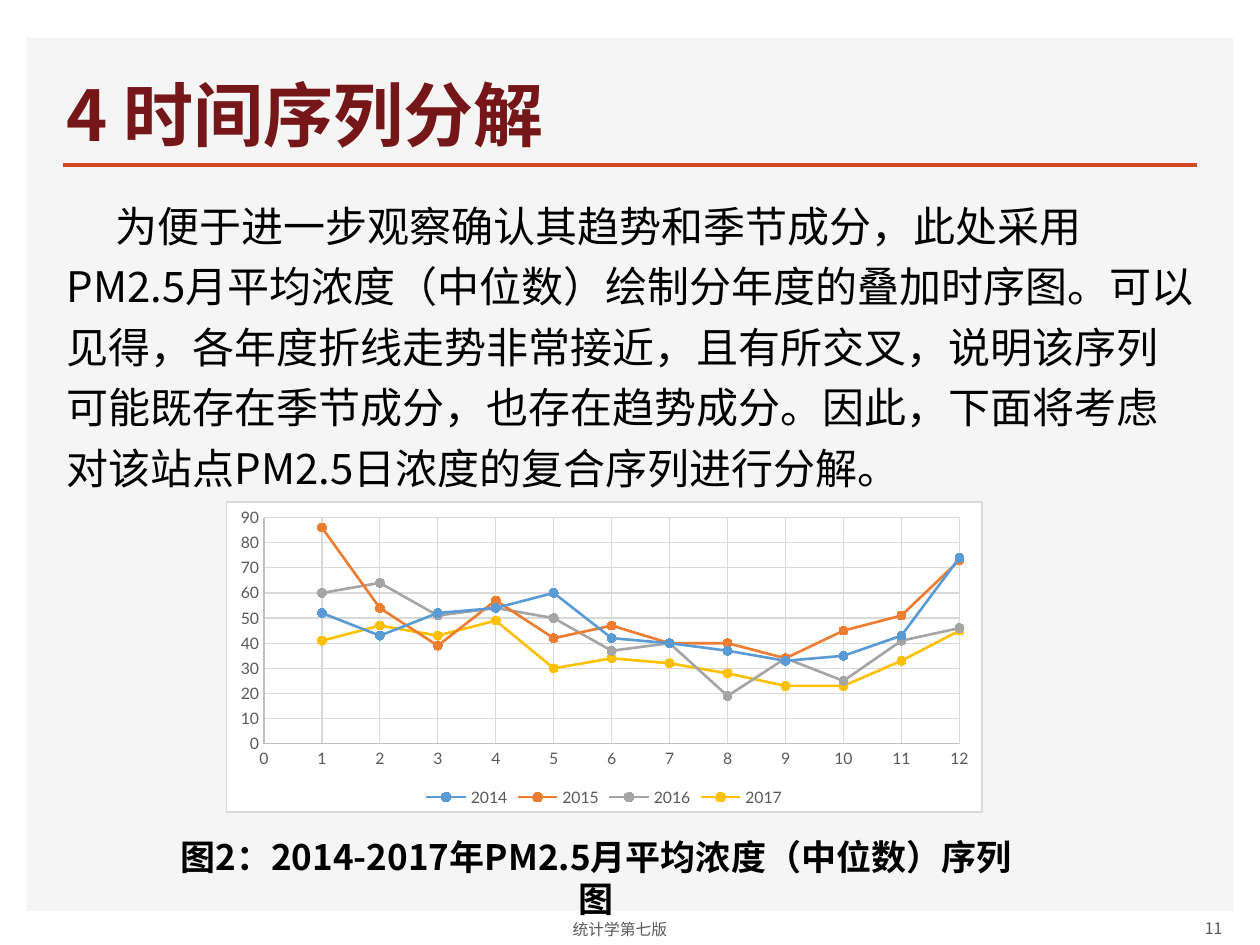
from lxml import etree
from pptx import Presentation
from pptx.chart.data import XyChartData
from pptx.dml.color import RGBColor
from pptx.enum.chart import XL_CHART_TYPE, XL_LEGEND_POSITION, XL_MARKER_STYLE, XL_TICK_MARK
from pptx.enum.shapes import MSO_CONNECTOR, MSO_SHAPE
from pptx.enum.text import MSO_ANCHOR, PP_ALIGN
from pptx.oxml import parse_xml
from pptx.oxml.ns import nsdecls, qn
from pptx.util import Inches, Pt

SCATTER = XL_CHART_TYPE.XY_SCATTER_LINES
LEGEND_BOTTOM = XL_LEGEND_POSITION.BOTTOM
CIRCLE = XL_MARKER_STYLE.CIRCLE
NO_TICK = XL_TICK_MARK.NONE
STRAIGHT = MSO_CONNECTOR.STRAIGHT
RECTANGLE = MSO_SHAPE.RECTANGLE
TOP, MIDDLE, BOTTOM = MSO_ANCHOR.TOP, MSO_ANCHOR.MIDDLE, MSO_ANCHOR.BOTTOM
LEFT, CENTER, RIGHT = PP_ALIGN.LEFT, PP_ALIGN.CENTER, PP_ALIGN.RIGHT

WHITE = RGBColor(0xFF, 0xFF, 0xFF)
BLACK = RGBColor(0x00, 0x00, 0x00)
PANEL = RGBColor(0xF5, 0xF5, 0xF5)
RULE = RGBColor(0xD2, 0x47, 0x26)
MAROON = RGBColor(0x75, 0x17, 0x18)
GREY = RGBColor(0x59, 0x59, 0x59)
AXIS = RGBColor(0xBF, 0xBF, 0xBF)
GRID = RGBColor(0xD9, 0xD9, 0xD9)

TEXT_FONT = "Noto Sans CJK SC"
CHART_FONT = "Lato"

BODY = (
    "为便于进一步观察确认其趋势和季节成分，此处采用PM2.5月平均浓度（中位数）"
    "绘制分年度的叠加时序图。可以见得，各年度折线走势非常接近，且有所交叉，"
    "说明该序列可能既存在季节成分，也存在趋势成分。因此，下面将考虑对该站点"
    "PM2.5日浓度的复合序列进行分解。"
)

# Monthly PM2.5 medians, January to December
YEARS = [
    ("2014", RGBColor(0x5B, 0x9B, 0xD5), [52, 43, 52, 54, 60, 42, 40, 37, 33, 35, 43, 74]),
    ("2015", RGBColor(0xED, 0x7D, 0x31), [86, 54, 39, 57, 42, 47, 40, 40, 34, 45, 51, 73]),
    ("2016", RGBColor(0xA5, 0xA5, 0xA5), [60, 64, 51, 54, 50, 37, 40, 19, 34, 25, 41, 46]),
    ("2017", RGBColor(0xFF, 0xC0, 0x00), [41, 47, 43, 49, 30, 34, 32, 28, 23, 23, 33, 45]),
]


def add_text(slide, box, text, size, color, align=LEFT, anchor=TOP, bold=False):
    """Place one paragraph in the box and return the paragraph."""
    shape = slide.shapes.add_textbox(*map(Inches, box))
    frame = shape.text_frame
    frame.word_wrap = True
    frame.vertical_anchor = anchor
    paragraph = frame.paragraphs[0]
    paragraph.alignment = align
    run = paragraph.add_run()
    run.text = text
    font = run.font
    font.name, font.size, font.bold = TEXT_FONT, Pt(size), bold
    font.color.rgb = color
    east_asian = etree.SubElement(run._r.get_or_add_rPr(), qn("a:ea"))
    east_asian.set("typeface", TEXT_FONT)
    return paragraph


def add_background(slide, box):
    """Grey panel behind the content."""
    panel = slide.shapes.add_shape(RECTANGLE, *map(Inches, box))
    panel.shadow.inherit = False
    panel.fill.solid()
    panel.fill.fore_color.rgb = PANEL
    panel.line.fill.background()


def add_heading(slide, box):
    """Title with the rule under it."""
    left, top, width, height = box
    rule_y = Inches(top + height + 0.03)
    rule = slide.shapes.add_connector(STRAIGHT, Inches(0.5), rule_y, Inches(9.5), rule_y)
    rule.line.color.rgb = RULE
    rule.line.width = Pt(2)
    etree.SubElement(rule._element.spPr, qn("a:effectLst"))
    add_text(slide, box, "4 时间序列分解", 40, MAROON, anchor=BOTTOM, bold=True)


def add_body(slide, box):
    """Explanation with an indented first line."""
    paragraph = add_text(slide, box, BODY, 24, BLACK)
    paragraph.line_spacing = 1.2
    paragraph._p.get_or_add_pPr().set("indent", str(Inches(0.39)))


def style_font(font):
    font.name, font.size = CHART_FONT, Pt(9)
    font.color.rgb = GREY


def style_line(line, color, width=0.75):
    line.color.rgb = color
    line.width = Pt(width)


def style_axis(axis, maximum, step):
    axis.minimum_scale, axis.maximum_scale, axis.major_unit = 0, maximum, step
    axis.major_tick_mark = axis.minor_tick_mark = NO_TICK
    axis.has_major_gridlines = True
    style_line(axis.major_gridlines.format.line, GRID)
    style_line(axis.format.line, AXIS)
    style_font(axis.tick_labels.font)
    axis.tick_labels.number_format = "0"
    axis.tick_labels.number_format_is_linked = False


def add_year_chart(slide, box):
    """One line per year over the twelve months."""
    data = XyChartData()
    for name, _, values in YEARS:
        series = data.add_series(name)
        for month, value in enumerate(values, start=1):
            series.add_data_point(month, value)
    chart = slide.shapes.add_chart(SCATTER, *map(Inches, box), data).chart
    chart.has_title = False
    style_font(chart.font)
    style_axis(chart.category_axis, 12, 1)
    style_axis(chart.value_axis, 90, 10)

    chart.has_legend = True
    chart.legend.position = LEGEND_BOTTOM
    chart.legend.include_in_layout = False
    style_font(chart.legend.font)

    plot = chart.plots[0]
    plot.vary_by_categories = False
    for series, (_, color, _) in zip(plot.series, YEARS):
        series.smooth = False
        style_line(series.format.line, color, 1.5)
        marker = series.marker
        marker.style, marker.size = CIRCLE, 5
        marker.format.fill.solid()
        marker.format.fill.fore_color.rgb = color
        style_line(marker.format.line, color)

    # Inner plot area as fractions of the chart
    plot_area = chart._chartSpace.chart.plotArea
    for old_layout in plot_area.findall(qn("c:layout")):
        plot_area.remove(old_layout)
    plot_area.insert(0, parse_xml(
        f'<c:layout {nsdecls("c")}><c:manualLayout><c:layoutTarget val="inner"/>'
        '<c:xMode val="edge"/><c:yMode val="edge"/><c:x val="0.05"/><c:y val="0.05"/>'
        '<c:w val="0.92"/><c:h val="0.73"/></c:manualLayout></c:layout>'
    ))

    # White chart background with a thin border
    frame = parse_xml(
        f'<c:spPr {nsdecls("c", "a")}><a:solidFill><a:srgbClr val="{WHITE}"/></a:solidFill>'
        f'<a:ln w="{Pt(0.75)}"><a:solidFill><a:srgbClr val="{GRID}"/></a:solidFill></a:ln></c:spPr>'
    )
    chart._chartSpace.chart.addnext(frame)


def add_footer(slide, box):
    """Book name in the middle and page number on the right."""
    left, top, width, height = box
    add_text(slide, (left + 3, top + 0.02, 3.42, height - 0.02), "统计学第七版", 9, GREY, CENTER, MIDDLE)
    add_text(slide, (left + width - 2, top, 2, height), "11", 9, GREY, RIGHT, MIDDLE)


def main():
    presentation = Presentation()
    presentation.slide_width, presentation.slide_height = Inches(10), Inches(7.5)
    slide = presentation.slides.add_slide(presentation.slide_layouts[6])
    add_background(slide, (0.21, 0.3, 9.58, 6.93))
    add_footer(slide, (0.21, 7.21, 9.59, 0.31))
    add_heading(slide, (0.43, 0.49, 7.6, 0.79))
    add_body(slide, (0.43, 1.46, 9.19, 2.52))
    add_year_chart(slide, (1.79, 3.98, 6.01, 2.47))
    add_text(slide, (1.27, 6.58, 6.92, 0.44),
             "图2：2014-2017年PM2.5月平均浓度（中位数）序列图", 20, BLACK, CENTER, bold=True)
    presentation.save("out.pptx")


if __name__ == "__main__":
    main()
